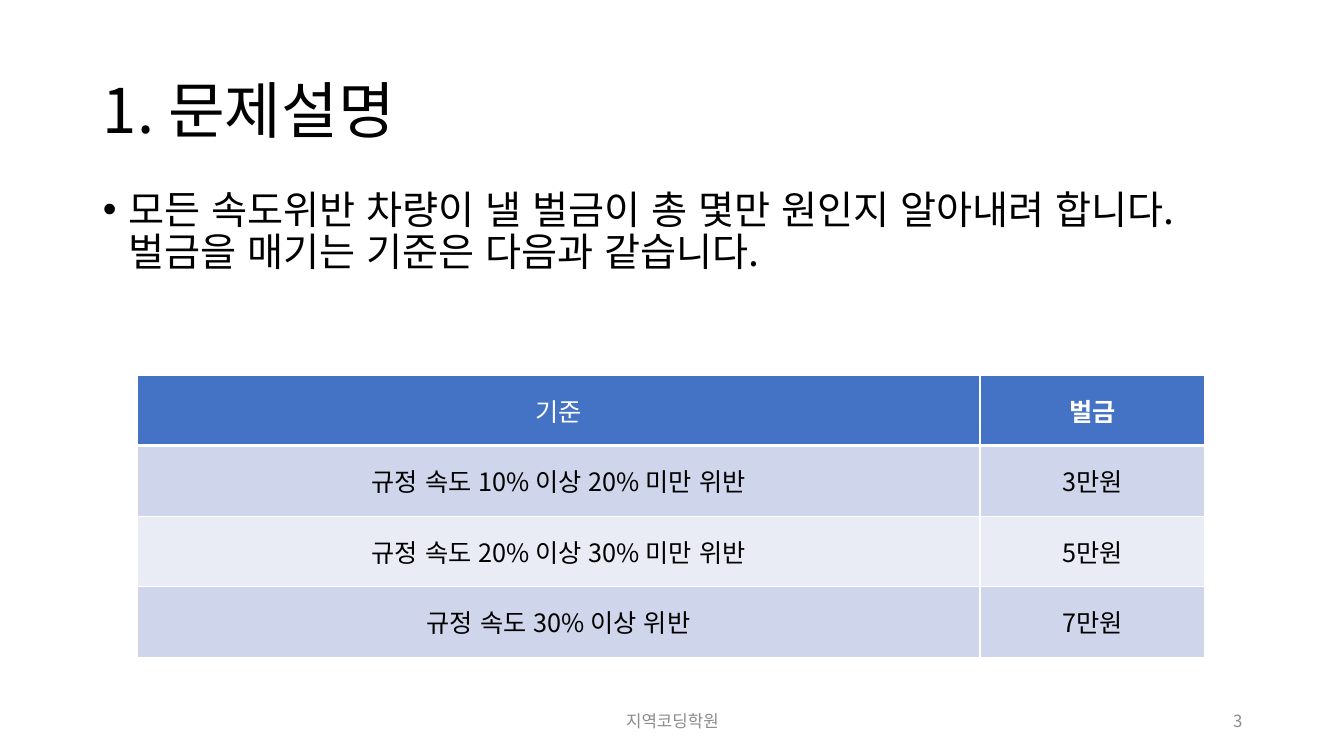
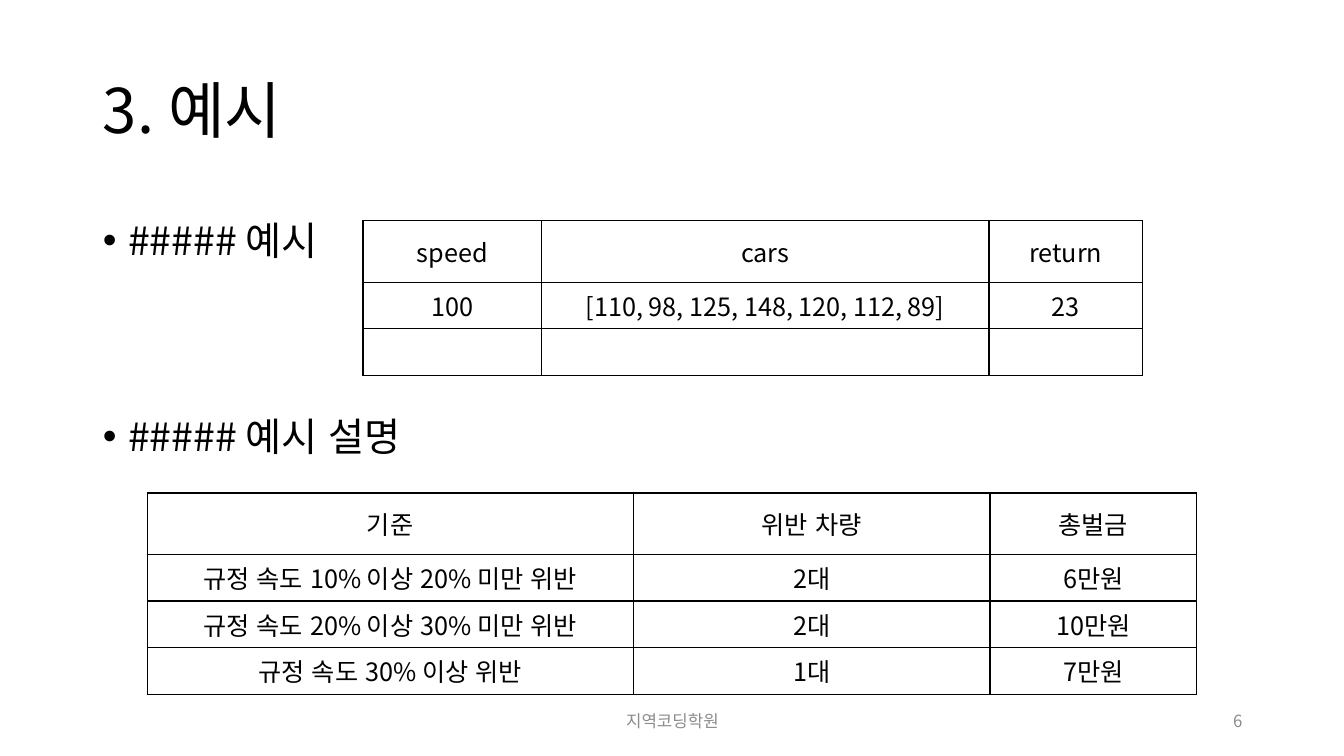
from pptx import Presentation
from pptx.dml.color import RGBColor
from pptx.enum import lang
from pptx.enum import text as t
from pptx.oxml import ns, xmlchemy
from pptx.util import Inches, Pt

FONT = "Noto Sans CJK KR"
BLACK, WHITE, GREY, BLUE = "000000", "FFFFFF", "8C8C8C", "4472C4"
BANDS = ["CFD5EA", "E9EBF5"]
FOOTER = "지역코딩학원"
LEFT, WIDTH = 0.92, 11.5
ROW, HEAD_ROW = 0.46, 0.61
RULES = [
    "규정 속도 10% 이상 20% 미만 위반",
    "규정 속도 20% 이상 30% 미만 위반",
    "규정 속도 30% 이상 위반",
]

PAGES = [
    {
        "number": 3,
        "title": "1. 문제설명",
        "body": (LEFT, 1.84, 11.73, 4.94),
        "bullets": [
            ("모든 속도위반 차량이 낼 벌금이 총 몇만 원인지 알아내려 합니다. "
             "벌금을 매기는 기준은 다음과 같습니다.", 0.9, 0),
        ],
        "tables": [{
            "at": (1.36, 3.72), "columns": [8.36, 2.23], "heights": [0.7] * 4,
            "rows": [("기준", "벌금"), *zip(RULES, ("3만원", "5만원", "7만원"))],
            "banded": True, "bold": {(0, 1)},
        }],
    },
    {
        "number": 6,
        "title": "3. 예시",
        "body": (LEFT, 2, WIDTH, 5.1),
        "bullets": [("##### 예시", 1.2, 0), ("##### 예시 설명", 0.9, 110)],
        "tables": [
            {
                "at": (3.6, 2.19), "columns": [1.77, 4.44, 1.52],
                "heights": [HEAD_ROW, ROW, ROW],
                "rows": [("speed", "cars", "return"),
                         ("100", "[110, 98, 125, 148, 120, 112, 89]", "23"),
                         ("", "", "")],
            },
            {
                "at": (1.46, 4.89), "columns": [4.82, 3.54, 2.05],
                "heights": [HEAD_ROW] + [ROW] * 3,
                "rows": [("기준", "위반 차량", "총벌금"),
                         *zip(RULES, ("2대", "2대", "1대"),
                              ("6만원", "10만원", "7만원"))],
            },
        ],
    },
]


def rgb(color):
    return RGBColor.from_string(color)


def add_child(parent, tag, **attributes):
    child = xmlchemy.OxmlElement(tag)
    for name, value in attributes.items():
        child.set(name, str(value))
    parent.append(child)
    return child


def write(para, text, size=18, color=BLACK, bold=False, align=None, spacing=None, before=0):
    para.alignment = align
    para.line_spacing = spacing
    para.space_before = Pt(before)
    if not text:
        return
    span = para.add_run()
    span.text = text
    span.font.size, span.font.bold, span.font.name = Pt(size), bold, FONT
    span.font.language_id = lang.MSO_LANGUAGE_ID.KOREAN
    span.font.color.rgb = rgb(color)
    add_child(span.font._element, "a:ea", typeface=FONT)


def place(shape, left, top, width, height):
    shape.left, shape.top = Inches(left), Inches(top)
    shape.width, shape.height = Inches(width), Inches(height)


def set_borders(cell, color, bottom=1):
    props = cell._tc.get_or_add_tcPr()
    for position, (tag, points) in enumerate(
            [("a:lnL", 1), ("a:lnR", 1), ("a:lnT", 1), ("a:lnB", bottom)]):
        line = xmlchemy.OxmlElement(tag)
        line.set("w", str(Pt(points)))
        add_child(add_child(line, "a:solidFill"), "a:srgbClr", val=color)
        props.insert(position, line)


def add_grid(page, at, columns, heights, rows, banded=False, bold=()):
    frame = page.shapes.add_table(
        len(rows), len(columns), Inches(at[0]), Inches(at[1]),
        Inches(sum(columns)), Inches(sum(heights)))
    table = frame.table
    table.first_row = table.horz_banding = False
    for column, width in zip(table.columns, columns):
        column.width = Inches(width)
    for r, (texts, height) in enumerate(zip(rows, heights)):
        table.rows[r].height = Inches(height)
        header = banded and r == 0
        for c, text in enumerate(texts):
            cell = table.cell(r, c)
            cell.vertical_anchor = t.MSO_ANCHOR.MIDDLE
            if banded:
                cell.fill.solid()
                cell.fill.fore_color.rgb = rgb(BLUE if header else BANDS[(r - 1) % 2])
            else:
                cell.fill.background()
            set_borders(cell, WHITE if banded else BLACK, 3 if header else 1)
            write(cell.text_frame.paragraphs[0], text, bold=(r, c) in bold,
                  color=WHITE if header else BLACK, align=t.PP_ALIGN.CENTER)


def add_bullets(page, at, bullets):
    body = page.placeholders[1]
    place(body, *at)
    frame = body.text_frame
    frame.auto_size = t.MSO_AUTO_SIZE.NONE
    for i, (text, spacing, before) in enumerate(bullets):
        para = frame.add_paragraph() if i else frame.paragraphs[0]
        write(para, text, size=28, align=t.PP_ALIGN.LEFT, spacing=spacing, before=before)
        props = para._p.get_or_add_pPr()
        props.set("marL", str(Inches(0.25)))
        props.set("indent", str(-Inches(0.25)))
        add_child(props, "a:buFont", typeface="Arial")
        add_child(props, "a:buChar", char="•")


def add_title(page, text):
    title = page.shapes.title
    place(title, LEFT, 0.4, WIDTH, 1.45)
    title.text_frame.auto_size = t.MSO_AUTO_SIZE.NONE
    title.text_frame.vertical_anchor = t.MSO_ANCHOR.MIDDLE
    write(title.text_frame.paragraphs[0], text, size=44,
          align=t.PP_ALIGN.LEFT, spacing=0.9)


def add_footer(page, number):
    for text, left, width, align in [
            (FOOTER, 4.42, 4.5, t.PP_ALIGN.CENTER),
            (str(number), 9.42, 3, t.PP_ALIGN.RIGHT)]:
        box = page.shapes.add_textbox(0, 0, 0, 0)
        place(box, left, 6.95, width, 0.4)
        box.text_frame.word_wrap = True
        box.text_frame.vertical_anchor = t.MSO_ANCHOR.MIDDLE
        write(box.text_frame.paragraphs[0], text, size=12, color=GREY, align=align)


def main():
    deck = Presentation()
    deck.slide_width, deck.slide_height = Inches(13.33), Inches(7.5)
    for content in PAGES:
        page = deck.slides.add_slide(deck.slide_layouts[1])
        add_title(page, content["title"])
        add_bullets(page, content["body"], content["bullets"])
        for table in content["tables"]:
            add_grid(page, **table)
        add_footer(page, content["number"])
    deck.save("out.pptx")


if __name__ == "__main__":
    main()
